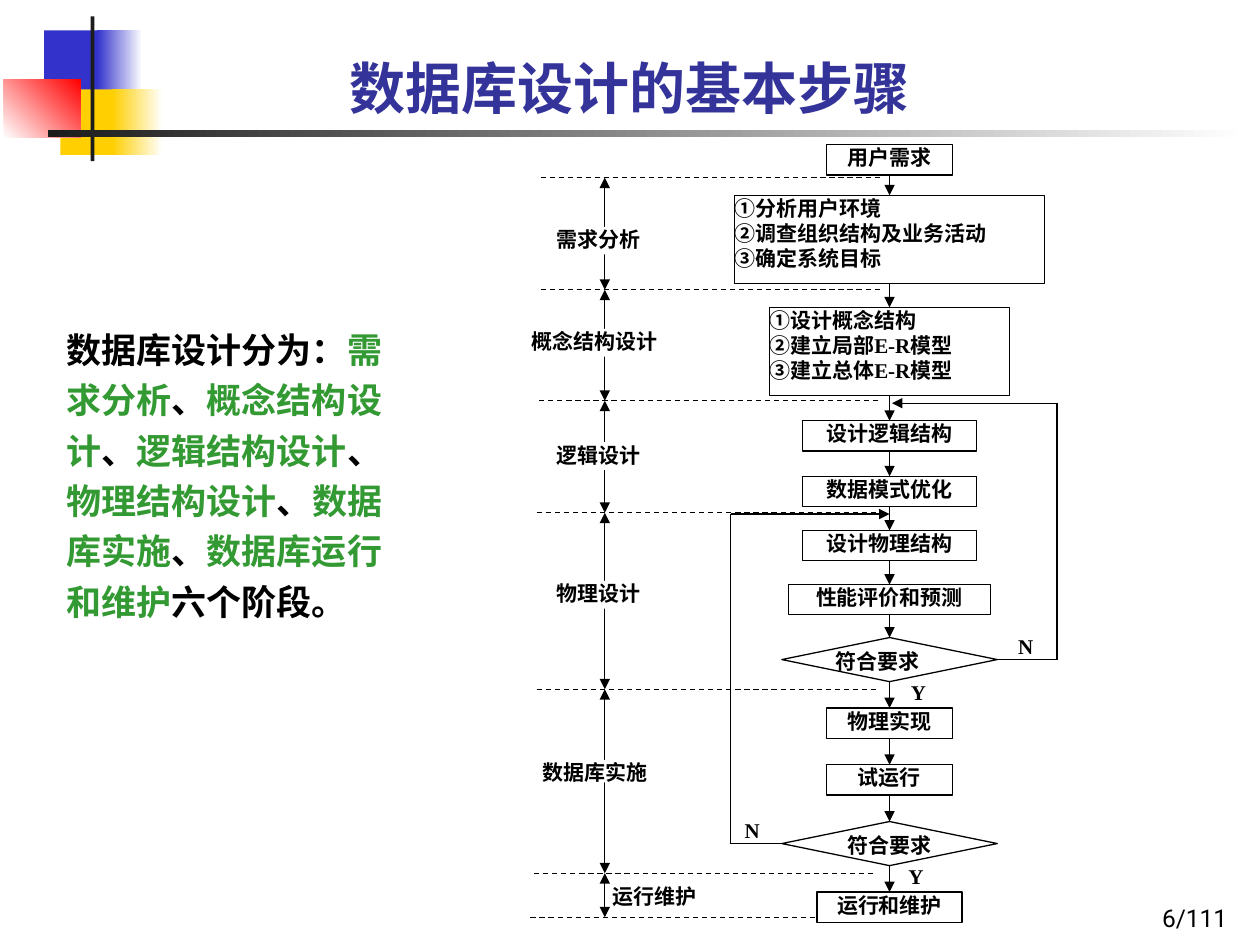
from itertools import pairwise

from lxml import etree
from pptx import Presentation, util as u
from pptx.dml.color import RGBColor
from pptx.enum import dml, shapes, text
from pptx.oxml.ns import qn

COLORS = {"ink": "000000", "paper": "FFFFFF", "title": "333399", "green": "339933",
          "blue": "3333CC", "yellow": "FFCF01", "red": "FF0000", "bar": "1C1C1C"}
COLUMNS, ROWS = 100, 75
RECT, DIAMOND = shapes.MSO_SHAPE.RECTANGLE, shapes.MSO_SHAPE.DIAMOND
ALIGN = text.PP_ALIGN
TOP, LEFT, BOTTOM, RIGHT = range(4)


class Board:
    """Places styled elements on a grid of 100 columns by 75 rows."""

    def __init__(self, presentation):
        self.column = presentation.slide_width / COLUMNS
        self.row = presentation.slide_height / ROWS
        self.slide = presentation.slides.add_slide(presentation.slide_layouts[5])

    def area(self, x, y, width, height):
        return (round(x * self.column), round(y * self.row),
                round(width * self.column), round(height * self.row))

    def color(self, name):
        return RGBColor.from_string(COLORS[name])

    def set_text(self, shape, paragraphs, size=12, font="Times New Roman", color="ink",
                 bold=True, align=ALIGN.JUSTIFY, anchor="TOP", insets=(0, 0), spacing=None):
        """Each paragraph is a string or a list of (text, colour) runs."""
        frame = shape.text_frame
        frame.word_wrap = True
        frame.auto_size = text.MSO_AUTO_SIZE.NONE
        frame.vertical_anchor = text.MSO_ANCHOR[anchor]
        frame.margin_left = frame.margin_right = u.Inches(insets[0])
        frame.margin_top = frame.margin_bottom = u.Inches(insets[1])
        for index, content in enumerate(paragraphs):
            paragraph = frame.add_paragraph() if index else frame.paragraphs[0]
            paragraph.alignment = align
            if spacing:
                paragraph.line_spacing = spacing
            paragraph.font.size = u.Pt(size)
            paragraph.font.name = font
            paragraph.font.bold = bold
            paragraph.font.color.rgb = self.color(color)
            runs = [(content, color)] if isinstance(content, str) else content
            for words, run_color in runs:
                run = paragraph.add_run()
                run.text = words
                if run_color != color:
                    run.font.color.rgb = self.color(run_color)

    def title(self, words, area, **style):
        shape = self.slide.shapes.title
        shape.left, shape.top, shape.width, shape.height = self.area(*area)
        self.set_text(shape, [words], **style)

    def textbox(self, paragraphs, area, **style):
        self.set_text(self.slide.shapes.add_textbox(*self.area(*area)), paragraphs, **style)

    def shape(self, area, kind=RECT, fill="paper", fade=None, angle=0, outline=False):
        shape = self.slide.shapes.add_shape(kind, *self.area(*area))
        shape.shadow.inherit = False
        if fade:
            shape.fill.gradient()
            shape.fill.gradient_angle = angle
            for stop, name in zip(shape.fill.gradient_stops, (fill, fade)):
                stop.color.rgb = self.color(name)
        else:
            shape.fill.solid()
            shape.fill.fore_color.rgb = self.color(fill)
        if outline:
            shape.line.color.rgb = self.color("ink")
            shape.line.width = u.Pt(0.75)
        else:
            shape.line.fill.background()
        return shape

    def line(self, start, end, arrows=(), dashed=False):
        """An end is an (x, y) point or a (shape, side) joint."""
        joints = [not isinstance(place[0], (int, float)) for place in (start, end)]
        points = [(0, 0) if joined else self.area(*place, 0, 0)[:2]
                  for place, joined in zip((start, end), joints)]
        connector = self.slide.shapes.add_connector(
            shapes.MSO_CONNECTOR.STRAIGHT, *points[0], *points[1])
        if joints[0]:
            connector.begin_connect(*start)
        if joints[1]:
            connector.end_connect(*end)
        connector.line.color.rgb = self.color("ink")
        connector.line.width = u.Pt(0.75)
        if dashed:
            connector.line.dash_style = dml.MSO_LINE.DASH
        properties = connector.element.spPr
        for tag in arrows:
            etree.SubElement(properties.find(qn("a:ln")), qn(f"a:{tag}"), type="triangle")
        etree.SubElement(properties, qn("a:effectLst"))


def draw_decoration(board):
    board.shape((3.5, 2.4, 4.8, 5.2), fill="blue")
    board.shape((7.7, 2.4, 3.6, 5.2), fill="blue", fade="paper")
    board.shape((4.8, 7.1, 4.6, 5.2), fill="yellow")
    board.shape((8.9, 7.1, 4, 5.2), fill="yellow", fade="paper")
    board.shape((0.3, 6.3, 6.1, 4.6), fill="paper", fade="red", angle=45)
    board.shape((7.2, 1.3, 0.3, 11.5), fill="bar")
    board.shape((3.8, 10.3, 95.1, 0.6), fill="bar", fade="paper")


def draw_phases(board):
    # Dashed boundaries, each with its left end
    boundaries = [(42.9, 14.1), (42.9, 23), (42.8, 31.8), (42.6, 40.7),
                  (42.6, 54.7), (42.4, 69.3), (42.1, 72.8)]
    for x, y in boundaries:
        board.line((x, y), (x + 27.2, y), dashed=True)
    # Double arrows span the phases; labels sit on top of them
    labels = [("需求分析", (44.2, 18, 9.8, 2.2)), ("概念结构设计", (42.2, 26.1, 12.9, 2.2)),
              ("逻辑设计", (44.2, 35.1, 9.8, 2.2)), ("物理设计", (44.2, 46.1, 9.8, 2.2)),
              ("数据库实施", (43.1, 60.3, 12, 1.8)), ("运行维护", (48.6, 70.1, 9.8, 1.7))]
    for ((_, upper), (_, lower)), (name, area) in zip(pairwise(boundaries), labels):
        board.line((48, upper), (48, lower), ("headEnd", "tailEnd"))
        board.set_text(board.shape(area), [name])


def draw_flow(board):
    center = 70.6
    # Paragraphs, top, width, height, alignment, preset
    box, branch = (2.4, ALIGN.CENTER, RECT), (17.1, 3.5)
    details = (7, ALIGN.JUSTIFY, RECT)
    steps = [
        (["用户需求"], 11.5, 10, *box),
        (["①分析用户环境", "②调查组织结构及业务活动", "③确定系统目标"], 15.5, 24.6, *details),
        (["①设计概念结构", "②建立局部E-R模型", "③建立总体E-R模型"], 24.4, 19.1, *details),
        (["设计逻辑结构"], 33.4, 13.8, *box),
        (["数据模式优化"], 37.8, 13.8, *box),
        (["设计物理结构"], 42.1, 13.8, *box),
        (["性能评价和预测"], 46.4, 16, *box),
        (["符合要求"], 50.6, *branch, ALIGN.JUSTIFY, DIAMOND),
        (["物理实现"], 56.2, 10, *box),
        (["试运行"], 60.7, 10, *box),
        (["符合要求"], 65.2, *branch, ALIGN.CENTER, DIAMOND),
        (["运行和维护"], 70.8, 11.5, *box),
    ]
    nodes = []
    for paragraphs, top, width, height, align, kind in steps:
        node = board.shape((center - width / 2, top, width, height), kind, outline=True)
        board.set_text(node, paragraphs, align=align)
        nodes.append(node)
    for upper, lower in pairwise(nodes):
        board.line((upper, BOTTOM), (lower, TOP), ("tailEnd",))

    # Branches that return to an earlier step: node, side, lane, level, target
    returns = [(7, RIGHT, 83.9, 32, center + 0.2), (10, LEFT, 58, 40.8, center)]
    for index, side, lane, level, target in returns:
        middle = steps[index][1] + branch[1] / 2
        board.line((nodes[index], side), (lane, middle))
        board.line((lane, middle), (lane, level))
        board.line((lane, level), (target, level), ("tailEnd",))
    for answer, x, y in [("N", 80.8, 50.3), ("Y", 72.3, 53.9),
                         ("N", 59.1, 64.9), ("Y", 72.1, 68.5)]:
        board.textbox([answer], (x, y, 2.3, 1.6))


def main():
    presentation = Presentation()
    presentation.slide_width, presentation.slide_height = u.Inches(10), u.Inches(7.5)
    board = Board(presentation)
    draw_decoration(board)
    board.title("数据库设计的基本步骤", (7.5, 2.8, 85, 7.3), size=32, font="Roboto",
                color="title", align=ALIGN.CENTER, anchor="BOTTOM", insets=(0.1, 0.05))

    # Summary with the six stages in green
    stages = ["需求分析", "概念结构设计", "逻辑结构设计", "物理结构设计", "数据库实施", "数据库运行和维护"]
    summary = [("数据库设计分为：", "ink")]
    for index, stage in enumerate(stages):
        summary += [("、", "ink")] * bool(index) + [(stage, "green")]
    summary.append(("六个阶段。", "ink"))
    board.textbox([summary], (4.3, 24.9, 27.6, 28.4), size=20, font="Roboto",
                  align=ALIGN.LEFT, insets=(0.1, 0.05), spacing=1.2)

    draw_phases(board)
    draw_flow(board)

    # Page number
    board.textbox(["6/111"], (77.6, 69.5, 20.8, 5), size=14, font="Roboto", bold=False,
                  align=ALIGN.RIGHT, anchor="BOTTOM", insets=(0.1, 0.05))
    presentation.save("out.pptx")


if __name__ == "__main__":
    main()
